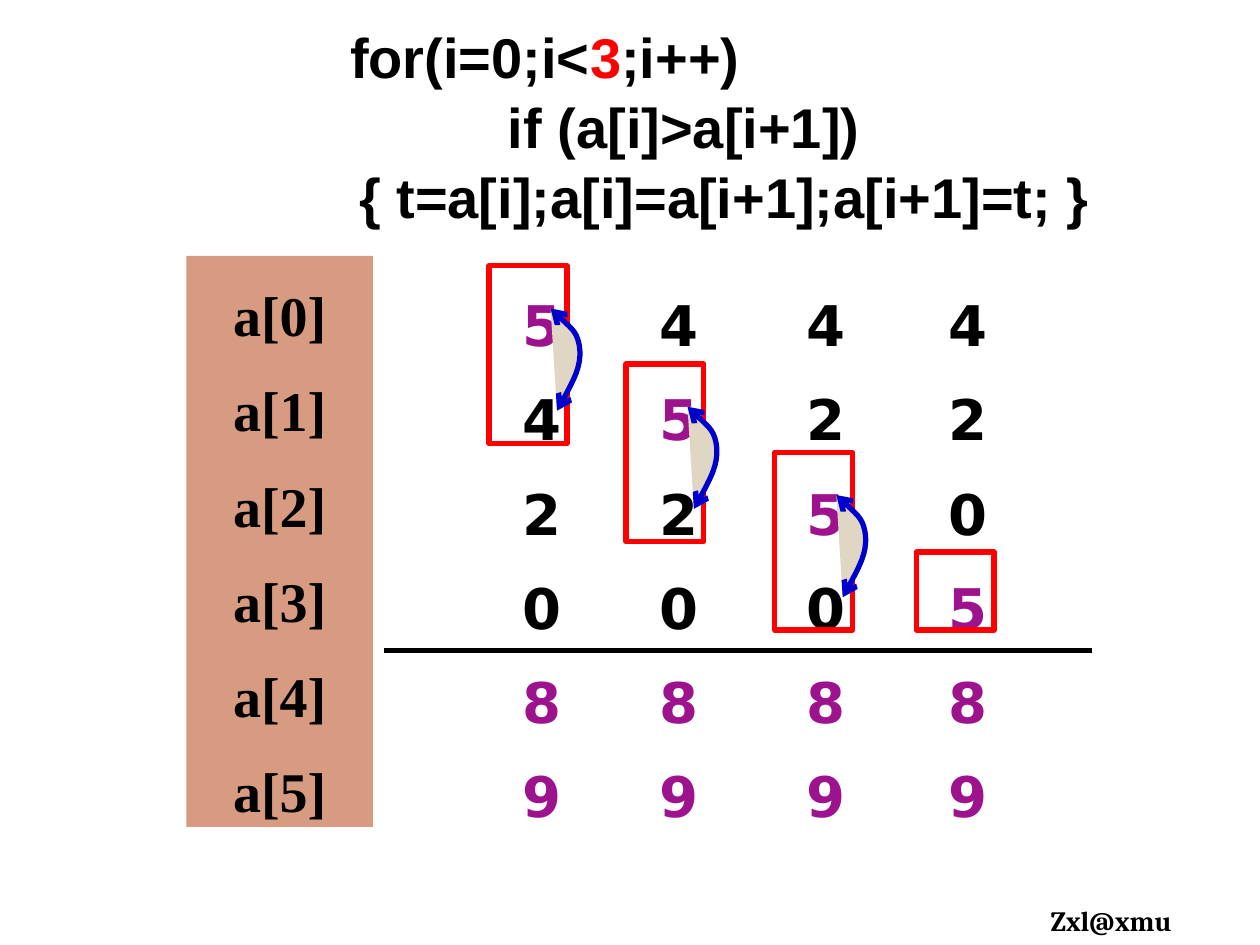
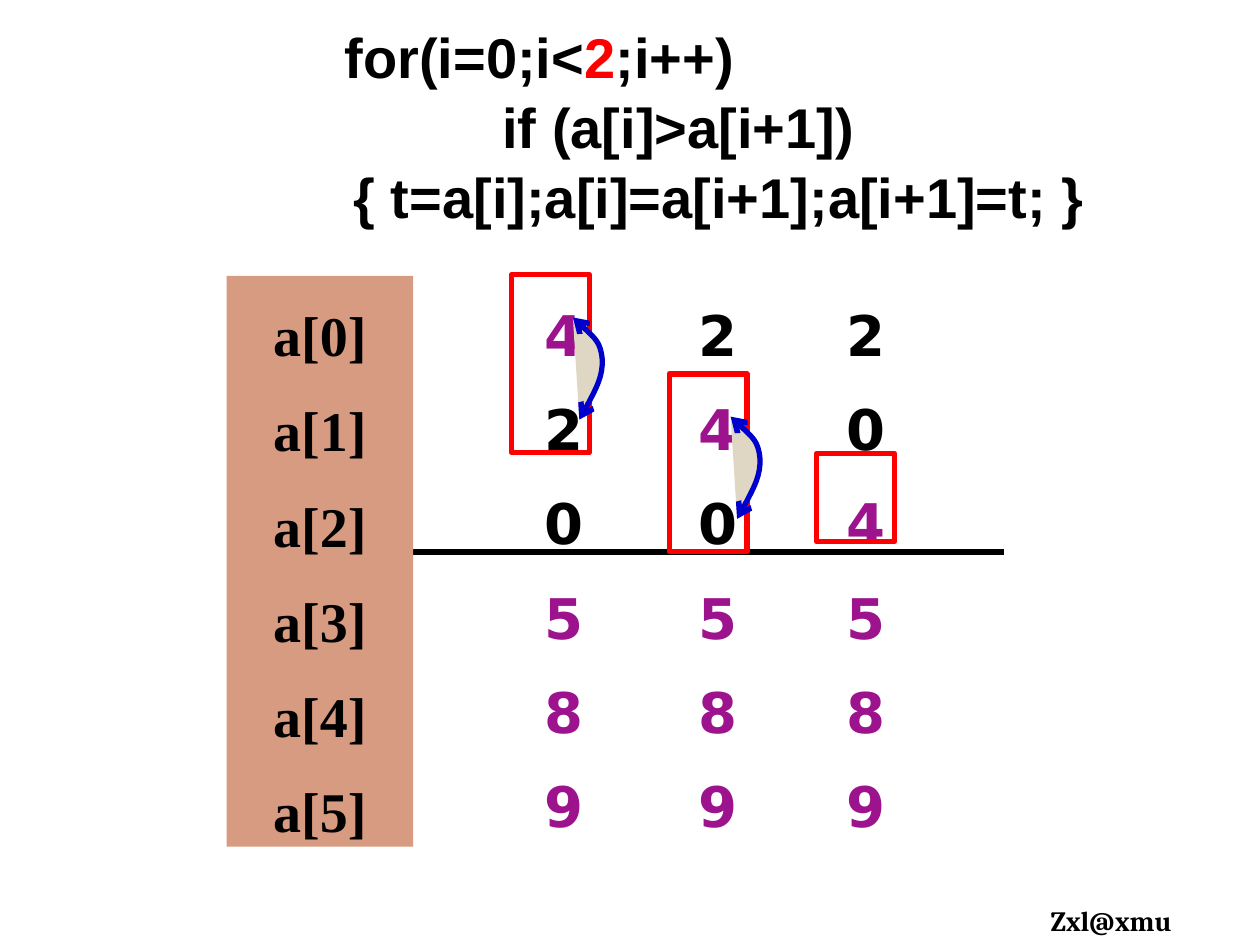
import dataclasses
import typing

import pptx
import pptx.dml.color
import pptx.enum.shapes
import pptx.enum.text
import pptx.oxml
import pptx.oxml.ns
import pptx.util
from pptx.util import Cm, Pt

BLACK, RED, PURPLE, BLUE = "000000", "FF0000", "9D138D", "0000CC"
CLAY, SAND, WHITE = "D69B80", "DFD6C3", "FFFFFF"
LEFT, CENTER = pptx.enum.text.PP_ALIGN.LEFT, pptx.enum.text.PP_ALIGN.CENTER
SHAPE = pptx.enum.shapes.MSO_SHAPE

COLUMN_HEIGHT = 11.51
FRAME_WIDTH, PAIR_HEIGHT = 1.57, 3.58
SWAP_CURVE = [(1.37, 2.92), (1.63, 2.46), (1.85, 2.03), (1.83, 1.7),
              (1.8, 1.35), (1.52, 1.12), (1.24, 0.86)]
LABEL_FORMAT = {"line_spacing": 1.2, "space_before": Pt(8.3), "alignment": CENTER}
DIGIT_FORMAT = {"line_spacing": 1.2, "space_before": Pt(7.7), "alignment": CENTER}
CODE_FORMAT = {"space_after": Pt(1.7), "alignment": LEFT}
FOOTER_FORMAT = {"space_before": Pt(2), "alignment": LEFT}


class Run(typing.NamedTuple):
    """A piece of text in one colour."""
    text: str
    color: str = BLACK


class Box(typing.NamedTuple):
    """A rectangle in centimetres."""
    left: float
    top: float
    width: float
    height: float

    def emu(self) -> list[int]:
        """Return the four lengths for python-pptx."""
        return [Cm(length) for length in self]


@dataclasses.dataclass
class Step:
    """One column of the array and the frame around its compared cells."""
    left: float
    frame_left: float
    frame_top: float


@dataclasses.dataclass
class SortPass:
    """One pass of the bubble sort."""
    values: list[int]
    code_left: float
    labels_left: float
    labels_top: float
    digits_top: float
    steps: list[Step]
    settled_frame_height: float
    divider: tuple[float, float, float]


PASSES = [
    SortPass([5, 4, 2, 0, 8, 9], 5.77, 3.76, 5.16, 5.36,
             [Step(9.93, 9.86, 5.36), Step(12.7, 12.62, 7.34),
              Step(15.67, 15.62, 9.12), Step(18.52, 18.47, 11.13)],
             1.57, (7.75, 22.02, 13.11)),
    SortPass([4, 2, 0, 5, 8, 9], 5.66, 4.57, 5.56, 5.56,
             [Step(10.39, 10.31, 5.54), Step(13.49, 13.49, 7.54),
              Step(16.46, 16.46, 9.14)],
             1.78, (8.33, 20.24, 11.13)),
]


def rgb(color: str) -> pptx.dml.color.RGBColor:
    """Turn a hex string into a colour."""
    return pptx.dml.color.RGBColor.from_string(color)


def apply(target: typing.Any, values: dict[str, typing.Any]) -> None:
    """Set every attribute in values on target."""
    for attribute, value in values.items():
        setattr(target, attribute, value)


def paint(shape: typing.Any, fill: str | None, line: str | None) -> None:
    """Give a shape its fill and outline and remove its shadow."""
    shape.shadow.inherit = False
    if fill:
        shape.fill.solid()
        shape.fill.fore_color.rgb = rgb(fill)
    else:
        shape.fill.background()
    if line:
        draw_outline(shape, line)
    else:
        shape.line.fill.background()


def draw_outline(shape: typing.Any, color: str) -> None:
    """Set the three-point outline."""
    shape.line.color.rgb = rgb(color)
    shape.line.width = Pt(3)


def write(shape: typing.Any, lines: list[list[Run]], font: str, size: int,
          layout: dict[str, typing.Any], top_inset: float = 0.13) -> None:
    """Write one paragraph per line of runs."""
    frame = shape.text_frame
    apply(frame, {"word_wrap": True, "margin_top": Cm(top_inset),
                  "vertical_anchor": pptx.enum.text.MSO_ANCHOR.TOP})
    for index, runs in enumerate(lines):
        paragraph = frame.paragraphs[0] if index == 0 else frame.add_paragraph()
        apply(paragraph, layout)
        for piece in runs:
            run = paragraph.add_run()
            run.text = piece.text
            apply(run.font, {"name": font, "size": Pt(size), "bold": True})
            run.font.color.rgb = rgb(piece.color)


def add_code(slide: typing.Any, left: float, limit: int) -> None:
    """Show the loop with its limit in red."""
    code = slide.shapes.add_shape(SHAPE.RECTANGLE, *Box(left, 0.2, 16.61, 4.37).emu())
    paint(code, WHITE, None)
    lines = [[Run("for(i=0;i<"), Run(str(limit), RED), Run(";i++)")],
             [Run("if (a[i]>a[i+1])")],
             [Run("{ t=a[i];a[i]=a[i+1];a[i+1]=t; }")]]
    write(code, lines, "Arial", 32, CODE_FORMAT, 0.25)
    code.text_frame.margin_right = 0
    for paragraph, indent in zip(code.text_frame.paragraphs, (1.04, 4.22, 1.22)):
        apply(paragraph._p.get_or_add_pPr(), {"marL": Cm(indent), "indent": 0})
        paragraph._p.pPr.set("marL", str(Cm(indent)))
        paragraph._p.pPr.set("indent", "0")


def add_labels(slide: typing.Any, left: float, top: float, count: int) -> None:
    """Name the array elements on a clay band."""
    labels = slide.shapes.add_shape(SHAPE.RECTANGLE,
                                    *Box(left, top, 3.76, COLUMN_HEIGHT).emu())
    paint(labels, CLAY, None)
    lines = [[Run(f"a[{row}]")] for row in range(count)]
    write(labels, lines, "Times New Roman", 32, LABEL_FORMAT, 0.23)


def add_digits(slide: typing.Any, left: float, top: float, values: list[int],
               moving: int, active: int) -> None:
    """List the values, with the moving and the settled ones in purple."""
    digits = slide.shapes.add_textbox(*Box(left, top, 1.98, COLUMN_HEIGHT).emu())
    lines = [[Run(str(value), PURPLE if row == moving or row >= active else BLACK)]
             for row, value in enumerate(values)]
    write(digits, lines, "DejaVu Sans", 32, DIGIT_FORMAT, 0.23)


def add_frame(slide: typing.Any, step: Step, height: float) -> None:
    """Frame the compared cells."""
    box = Box(step.frame_left, step.frame_top, FRAME_WIDTH, height)
    paint(slide.shapes.add_shape(SHAPE.FLOWCHART_PROCESS, *box.emu()), None, RED)


def add_swap(slide: typing.Any, step: Step) -> None:
    """Draw the curved double arrow between two swapped cells."""
    points = [(Cm(step.frame_left + x), Cm(step.frame_top + y)) for x, y in SWAP_CURVE]
    builder = slide.shapes.build_freeform(*points[0])
    builder.add_line_segments(points[1:], close=False)
    swap = builder.convert_to_shape()
    paint(swap, SAND, BLUE)
    segments = list(swap._element.iter(pptx.oxml.ns.qn("a:lnTo")))
    for first in range(0, len(segments), 3):
        curve = pptx.oxml.parse_xml(
            f"<a:cubicBezTo {pptx.oxml.ns.nsdecls('a')}/>")
        segments[first].addprevious(curve)
        for segment in segments[first:first + 3]:
            curve.append(segment[0])
            segment.getparent().remove(segment)
    outline = swap.line._get_or_add_ln()
    for end in ("headEnd", "tailEnd"):
        outline.append(pptx.oxml.parse_xml(
            f'<a:{end} {pptx.oxml.ns.nsdecls("a")} type="arrow"/>'))


def add_divider(slide: typing.Any, start: float, end: float, height: float) -> None:
    """Separate the active cells from the settled ones."""
    divider = slide.shapes.add_connector(pptx.enum.shapes.MSO_CONNECTOR.STRAIGHT,
                                         Cm(start), Cm(height), Cm(end), Cm(height))
    draw_outline(divider, BLACK)
    divider._element.spPr.append(pptx.oxml.parse_xml(
        f"<a:effectLst {pptx.oxml.ns.nsdecls('a')}/>"))


def add_footer(slide: typing.Any) -> None:
    """Sign the slide."""
    footer = slide.shapes.add_textbox(*Box(20.93, 18.08, 3.28, 0.94).emu())
    write(footer, [[Run("Zxl@xmu")]], "Cambria", 16, FOOTER_FORMAT)


def add_pass(slide: typing.Any, sort_pass: SortPass) -> None:
    """Show every step of one pass."""
    values = list(sort_pass.values)
    active = len(sort_pass.steps)
    add_footer(slide)
    add_divider(slide, *sort_pass.divider)
    for row, step in enumerate(sort_pass.steps):
        add_digits(slide, step.left, sort_pass.digits_top, values, row, active)
        if row < active - 1:
            add_frame(slide, step, PAIR_HEIGHT)
            add_swap(slide, step)
            values[row], values[row + 1] = values[row + 1], values[row]
        else:
            add_frame(slide, step, sort_pass.settled_frame_height)
    add_labels(slide, sort_pass.labels_left, sort_pass.labels_top, len(values))
    add_code(slide, sort_pass.code_left, active - 1)


def main() -> None:
    """Build the slides."""
    deck = pptx.Presentation()
    apply(deck, {"slide_width": Cm(25.4), "slide_height": Cm(19.05)})
    for sort_pass in PASSES:
        add_pass(deck.slides.add_slide(deck.slide_layouts[6]), sort_pass)
    deck.save("out.pptx")


if __name__ == "__main__":
    main()
